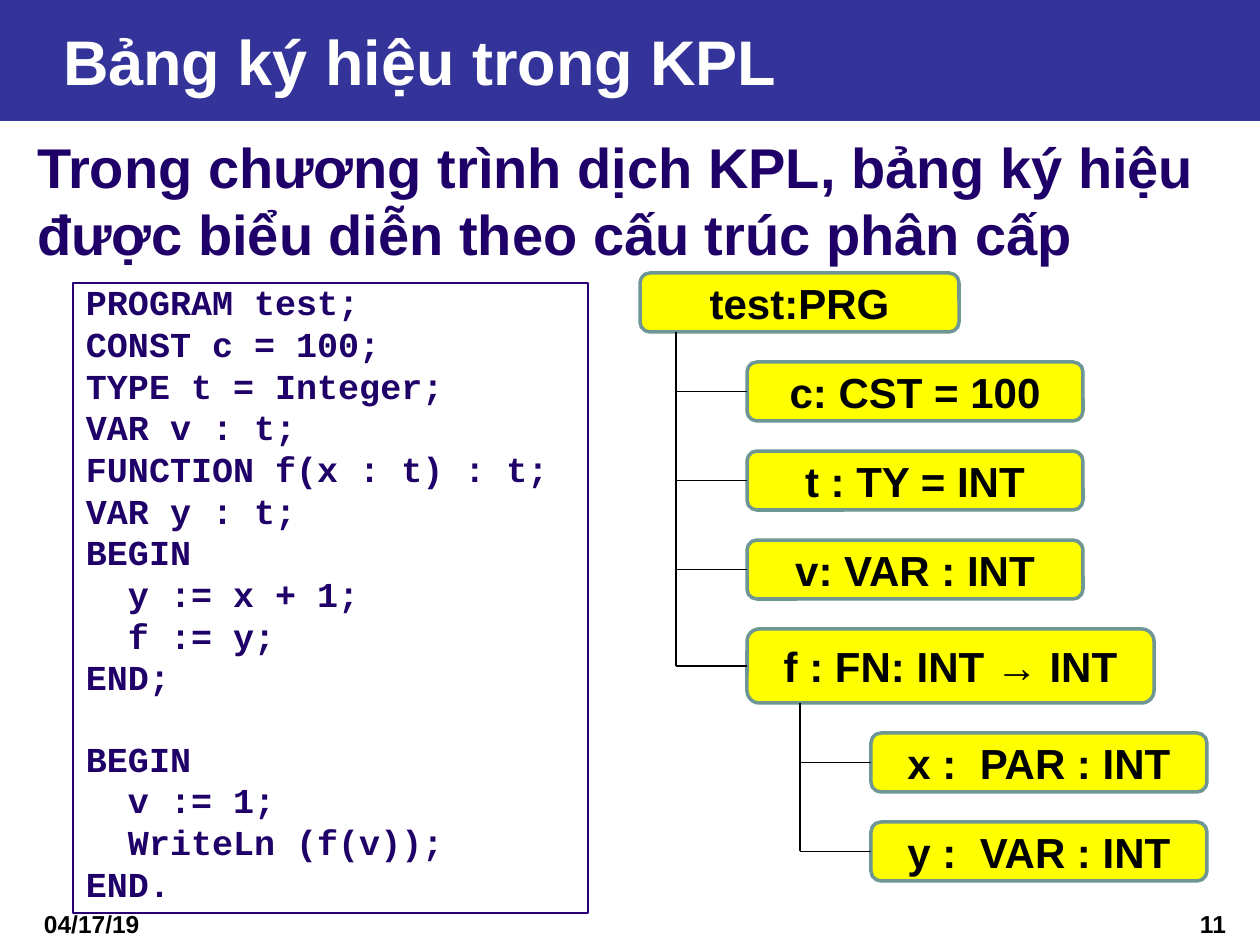
"""Build the slide on the KPL symbol table: source code beside its scope tree."""
from lxml import etree
from pptx import Presentation
from pptx.dml.color import RGBColor
from pptx.enum.shapes import MSO_CONNECTOR, MSO_SHAPE
from pptx.enum.text import MSO_ANCHOR, MSO_AUTO_SIZE, PP_ALIGN
from pptx.oxml.ns import qn
from pptx.util import Emu, Pt

LEFT, MID, RIGHT = PP_ALIGN.LEFT, PP_ALIGN.CENTER, PP_ALIGN.RIGHT
TOP, CENTRE = MSO_ANCHOR.TOP, MSO_ANCHOR.MIDDLE
RECT, ROUND = MSO_SHAPE.RECTANGLE, MSO_SHAPE.ROUNDED_RECTANGLE
STRAIGHT, FIXED = MSO_CONNECTOR.STRAIGHT, MSO_AUTO_SIZE.NONE

WHITE = RGBColor(0xFF, 0xFF, 0xFF)
BLACK = RGBColor(0x00, 0x00, 0x00)
BLUE = RGBColor(0x33, 0x33, 0x99)
NAVY = RGBColor(0x1E, 0x00, 0x68)
EDGE = RGBColor(0x27, 0x00, 0x76)
YELLOW = RGBColor(0xFF, 0xFF, 0x00)
TEAL = RGBColor(0x6E, 0x96, 0x95)

TITLE = "Bảng ký hiệu trong KPL"
LEAD = "Trong chương trình dịch KPL, bảng ký hiệu được biểu diễn theo cấu trúc phân cấp"
DATE, PAGE = "04/17/19", "11"
BLOCKS = [
    ["PROGRAM test;", "CONST c = 100;", "TYPE t = Integer;", "VAR v : t;",
     "FUNCTION f(x : t) : t;", "VAR y : t;", "BEGIN", "  y := x + 1;",
     "  f := y;", "END;"],
    ["BEGIN", "  v := 1;", "  WriteLn (f(v));", "END."],
]
NODES = [
    {"text": "test:PRG", "level": 0, "width": 319, "height": 59, "stem": 36},
    {"text": "c: CST = 100", "level": 1, "width": 336, "height": 59},
    {"text": "t : TY = INT", "level": 1, "width": 336, "height": 59},
    {"text": "v: VAR : INT", "level": 1, "width": 336, "height": 59},
    {"text": "f : FN: INT → INT", "level": 1, "width": 407, "height": 74, "stem": 53},
    {"text": "x :  PAR : INT", "level": 2, "width": 336, "height": 59},
    {"text": "y :  VAR : INT", "level": 2, "width": 336, "height": 59},
]
INDENTS = [640, 747, 871]
START, GAP = 273, 30
LINE, BREAK = 4.6, 27.3


def px(count):
    return Emu(round(count * 914400 / 126))


def place(shape, x, y, wide, high):
    shape.left, shape.top, shape.width, shape.height = map(px, (x, y, wide, high))


def write(shape, lines, size, color, font="Arial", align=LEFT, anchor=TOP,
          before=0, spacing=1.0, inset=13):
    """Fill the shape with lines, each a text or a (text, space before) pair."""
    frame = shape.text_frame
    frame.word_wrap, frame.auto_size = True, FIXED
    frame.vertical_anchor = anchor
    frame.margin_left, frame.margin_right = px(inset), px(13)
    frame.margin_top = frame.margin_bottom = px(6)
    for i, line in enumerate(lines):
        text, space = line if isinstance(line, tuple) else (line, before)
        para = frame.paragraphs[0] if i == 0 else frame.add_paragraph()
        para.alignment, para.line_spacing = align, spacing
        para.space_before = Pt(space)
        run = para.add_run()
        run.text = text
        run.font.name, run.font.size, run.font.bold = font, Pt(size), True
        run.font.color.rgb = color


def add_text(slide, box, text, size, color, **form):
    shape = slide.shapes.add_textbox(*map(px, box))
    write(shape, [text], size, color, **form)


def add_box(slide, kind, box, edge, weight, fill=None):
    shape = slide.shapes.add_shape(kind, *map(px, box))
    shape.shadow.inherit = False
    shape.line.color.rgb, shape.line.width = edge, Pt(weight)
    if fill is None:
        shape.fill.background()
    else:
        shape.fill.solid()
        shape.fill.fore_color.rgb = fill
    return shape


def add_line(slide, *ends):
    line = slide.shapes.add_connector(STRAIGHT, *map(px, ends))
    line.line.color.rgb, line.line.width = BLACK, Pt(0.75)
    etree.SubElement(line._element.spPr, qn("a:effectLst"))


def add_code(slide):
    lines = [(text, BREAK if b and not i else LINE)
             for b, block in enumerate(BLOCKS) for i, text in enumerate(block)]
    box = add_box(slide, RECT, (73, 283, 515, 630), EDGE, 0.75)
    write(box, lines, 20, NAVY, font="Courier New", spacing=0.8)


def add_tree(slide):
    stems, ends, top = {}, {}, START
    for node in NODES:
        level, high = node["level"], node["height"]
        left, mid = INDENTS[level], top + high / 2
        box = add_box(slide, ROUND, (left, top, node["width"], high), TEAL, 2, YELLOW)
        write(box, [node["text"]], 24, BLACK, align=MID, anchor=CENTRE)
        if level:
            add_line(slide, stems[level - 1][0], mid, left, mid)
            ends[level - 1] = mid
        if "stem" in node:
            stems[level] = (left + node["stem"], top + high)
        top += high + GAP
    for level, (x, y) in stems.items():
        add_line(slide, x, y, x, ends[level])


def main():
    deck = Presentation()
    deck.slide_width, deck.slide_height = px(1260), px(945)
    slide = deck.slides.add_slide(deck.slide_layouts[5])
    title = slide.shapes.title
    place(title, 0, 0, 1260, 121)
    title.fill.solid()
    title.fill.fore_color.rgb = BLUE
    write(title, [TITLE], 36, WHITE, anchor=CENTRE, inset=63)
    add_text(slide, (31, 903, 242, 42), DATE, 14, BLACK)
    add_text(slide, (977, 903, 262, 30), PAGE, 14, BLACK, align=RIGHT)
    add_text(slide, (24, 126, 1215, 155), LEAD, 32, NAVY, before=8)
    add_code(slide)
    add_tree(slide)
    deck.save("out.pptx")


if __name__ == "__main__":
    main()
